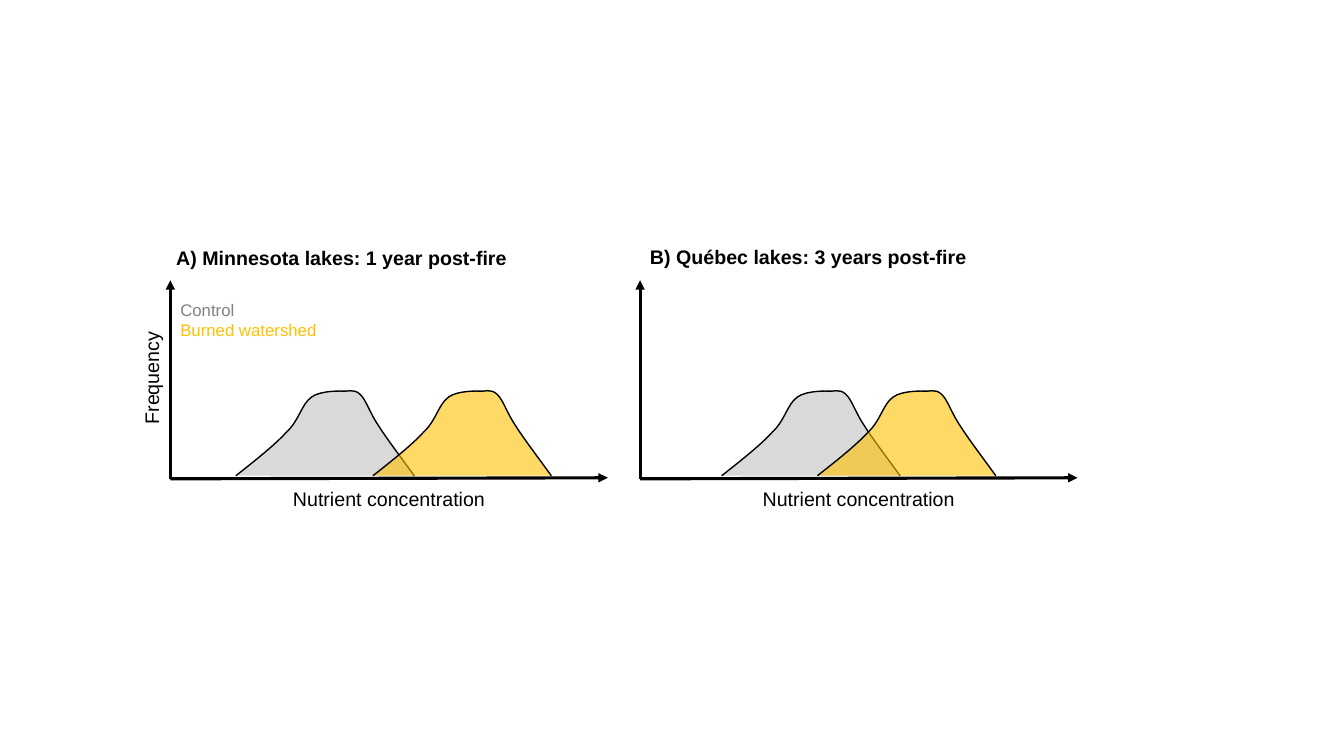
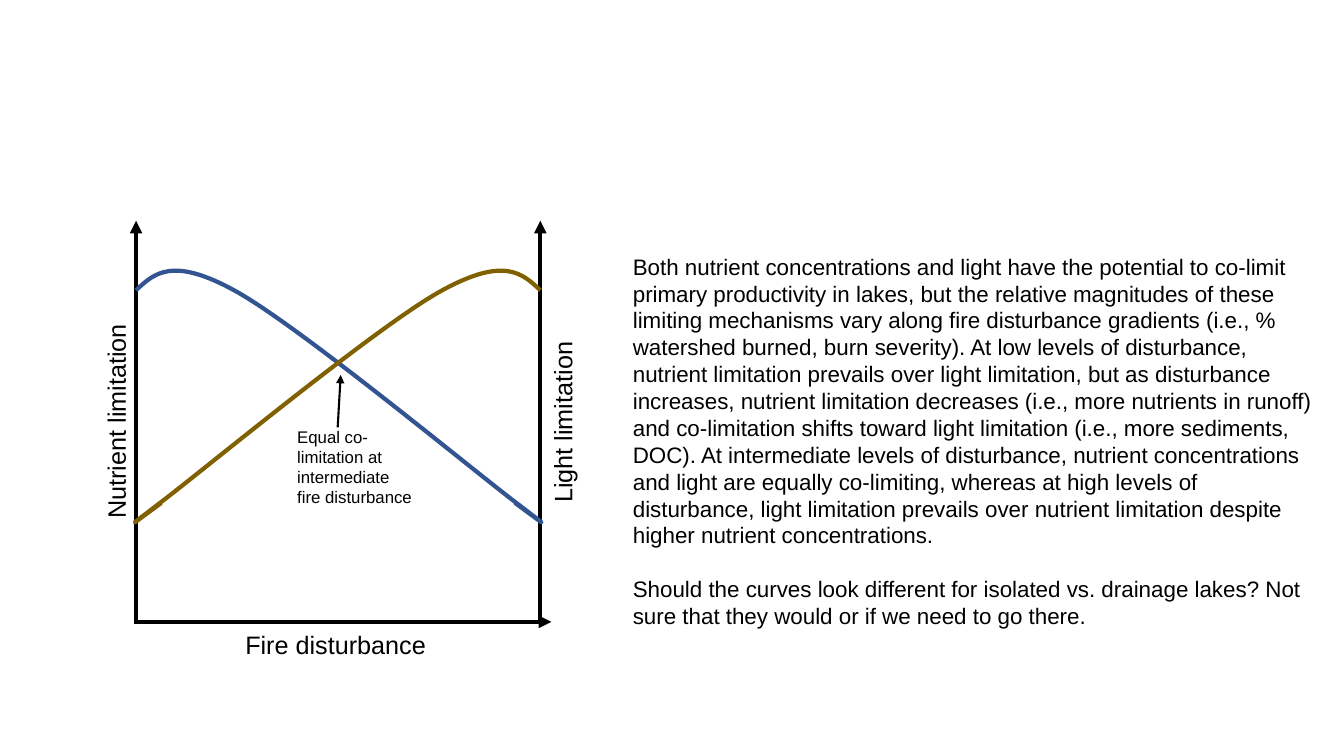
"""Builds two slides on how fire changes nutrients and light in lakes."""
from lxml import etree
from pptx import Presentation
from pptx.dml.color import RGBColor
from pptx.enum.shapes import MSO_CONNECTOR
from pptx.enum.text import MSO_AUTO_SIZE, PP_ALIGN
from pptx.oxml.ns import qn
from pptx.util import Inches, Pt

STRAIGHT = MSO_CONNECTOR.STRAIGHT
GROW = MSO_AUTO_SIZE.SHAPE_TO_FIT_TEXT
CENTER, LEFT = PP_ALIGN.CENTER, PP_ALIGN.LEFT
FONT = "Arial"
BLACK, GRAY, LIGHT_GRAY, AMBER = "000000", "808080", "D9D9D9", "FFC000"
BLUE, BROWN = "325491", "806000"

BELL = [
    (0, 4.72),
    (0.19, 4.57), (0.38, 4.42), (0.5, 4.29),
    (0.63, 4.17), (0.65, 4.01), (0.75, 3.94),
    (0.84, 3.87), (1.06, 3.88), (1.06, 3.88),
    (1.09, 3.89), (1.17, 3.85), (1.23, 3.91),
    (1.29, 3.96), (1.33, 4.1), (1.42, 4.23),
    (1.51, 4.37), (1.64, 4.54), (1.77, 4.72),
]
LIMITATION = [
    (1.35, 2.88),
    (1.53, 2.71), (1.71, 2.54), (2.34, 2.89),
    (2.97, 3.24), (4.65, 4.63), (5.11, 4.98),
    (5.57, 5.33), (5.34, 5.16), (5.11, 4.99),
]
MIRROR_SUM = 6.71

EXPLANATION = [
    "Both nutrient concentrations and light have the potential to co-limit "
    "primary productivity in lakes, but the relative magnitudes of these "
    "limiting mechanisms vary along fire disturbance gradients (i.e., % "
    "watershed burned, burn severity). At low levels of disturbance, nutrient "
    "limitation prevails over light limitation, but as disturbance increases, "
    "nutrient limitation decreases (i.e., more nutrients in runoff) and "
    "co-limitation shifts toward light limitation (i.e., more sediments, DOC). "
    "At intermediate levels of disturbance, nutrient concentrations and light "
    "are equally co-limiting, whereas at high levels of disturbance, light "
    "limitation prevails over nutrient limitation despite higher nutrient "
    "concentrations.",
    "Should the curves look different for isolated vs. drainage lakes? Not "
    "sure that they would or if we need to go there.",
]


def color(value):
    return RGBColor.from_string(value)


def add_text(page, frame, lines, size, colors=(BLACK,), align=LEFT,
             bold=False, rotation=0, gap=0):
    box = page.shapes.add_textbox(*(Inches(length) for length in frame))
    box.rotation = rotation
    box.text_frame.word_wrap = True
    box.text_frame.auto_size = GROW
    box.text_frame.text = "\n".join(lines)
    for index, para in enumerate(box.text_frame.paragraphs):
        para.alignment = align
        if index and gap:
            para.space_before = Pt(gap)
        for span in para.runs:
            span.font.name = FONT
            span.font.size = Pt(size)
            span.font.bold = bold
            span.font.color.rgb = color(colors[index % len(colors)])


def add_arrow(page, start, end, width):
    arrow = page.shapes.add_connector(
        STRAIGHT, *(Inches(length) for length in (*start, *end)))
    arrow.line.color.rgb = color(BLACK)
    arrow.line.width = Pt(width)
    etree.SubElement(arrow.line._get_or_add_ln(), qn("a:tailEnd"), type="triangle")
    etree.SubElement(arrow._element.spPr, qn("a:effectLst"))


def add_outline_part(outline, kind, nodes, left, top):
    part = etree.SubElement(outline, qn(kind))
    for x, y in nodes:
        etree.SubElement(part, qn("a:pt"), x=str(Inches(x - left)),
                         y=str(Inches(y - top)))


def add_curve(page, frame, nodes, line, width, fill=None, opacity=100):
    left, top, across, down = frame
    builder = page.shapes.build_freeform(Inches(left), Inches(top))
    builder.add_line_segments([(Inches(left + across), Inches(top + down))],
                              close=False)
    curve = builder.convert_to_shape()
    outline = next(curve._element.iter(qn("a:path")))
    for part in list(outline):
        outline.remove(part)
    add_outline_part(outline, "a:moveTo", nodes[:1], left, top)
    for first in range(1, len(nodes), 3):
        add_outline_part(outline, "a:cubicBezTo", nodes[first:first + 3], left, top)
    curve.shadow.inherit = False
    curve.line.color.rgb = color(line)
    curve.line.width = Pt(width)
    if fill is None:
        curve.fill.background()
        return
    curve.fill.solid()
    curve.fill.fore_color.rgb = color(fill)
    if opacity < 100:
        tint = curve._element.spPr.find(qn("a:solidFill"))[0]
        etree.SubElement(tint, qn("a:alpha"), val=str(opacity * 1000))


def add_lake_panel(page, left, control_left, burned_left):
    base, length = 4.75, 4.34
    add_arrow(page, (left, base), (left, 2.78), 2.25)
    add_text(page, (left, 4.78, length, 0.34), ["Nutrient concentration"], 14,
             align=CENTER)
    add_arrow(page, (left, base), (left + length, 4.74), 2.25)
    for bell_left, fill, opacity in ((control_left, LIGHT_GRAY, 100),
                                     (burned_left, AMBER, 60)):
        nodes = [(bell_left + x, y) for x, y in BELL]
        add_curve(page, (bell_left, 3.87, 1.77, 0.85), nodes, BLACK, 1, fill, opacity)


def build_frequency_page(page):
    add_lake_panel(page, 1.69, 2.34, 3.7)
    add_text(page, (0.5, 3.58, 2.01, 0.34), ["Frequency"], 14,
             align=CENTER, rotation=270)
    add_lake_panel(page, 6.35, 7.16, 8.11)
    add_text(page, (1.65, 2.39, 3.64, 0.34),
             ["A) Minnesota lakes: 1 year post-fire"], 14, bold=True)
    add_text(page, (6.35, 2.38, 3.53, 0.34),
             ["B) Québec lakes: 3 years post-fire"], 14, bold=True)
    add_text(page, (1.69, 2.92, 2.42, 0.5), ["Control", "Burned watershed"], 12,
             colors=(GRAY, AMBER))


def build_limitation_page(page):
    base, top = 6.17, 2.19
    add_arrow(page, (1.33, base), (5.47, base), 3)
    for axis_left in (1.35, 5.36):
        add_arrow(page, (axis_left, base), (axis_left, top), 3)
    for left, y, label, rotation in ((1.33, 6.19, "Fire disturbance", 0),
                                     (-0.85, 3.98, "Nutrient limitation", 270),
                                     (3.58, 3.99, "Light limitation", 270)):
        add_text(page, (left, y, 4, 0.4), [label], 18, align=CENTER,
                 rotation=rotation)
    add_curve(page, (1.35, 2.68, 4.02, 2.5), LIMITATION, BLUE, 3)
    mirrored = [(MIRROR_SUM - x, y) for x, y in LIMITATION]
    add_curve(page, (1.34, 2.68, 4.02, 2.5), mirrored, BROWN, 3)
    add_text(page, (2.85, 4.18, 1.35, 0.91),
             ["Equal co-limitation at intermediate fire disturbance"], 12)
    add_arrow(page, (3.35, 4.24), (3.38, 3.72), 1.5)
    add_text(page, (6.18, 2.46, 7.02, 3.87), EXPLANATION, 16, gap=19)


def main():
    deck = Presentation()
    deck.slide_width, deck.slide_height = Inches(40 / 3), Inches(7.5)
    for build in (build_frequency_page, build_limitation_page):
        build(deck.slides.add_slide(deck.slide_layouts[6]))
    deck.save("out.pptx")


if __name__ == "__main__":
    main()
